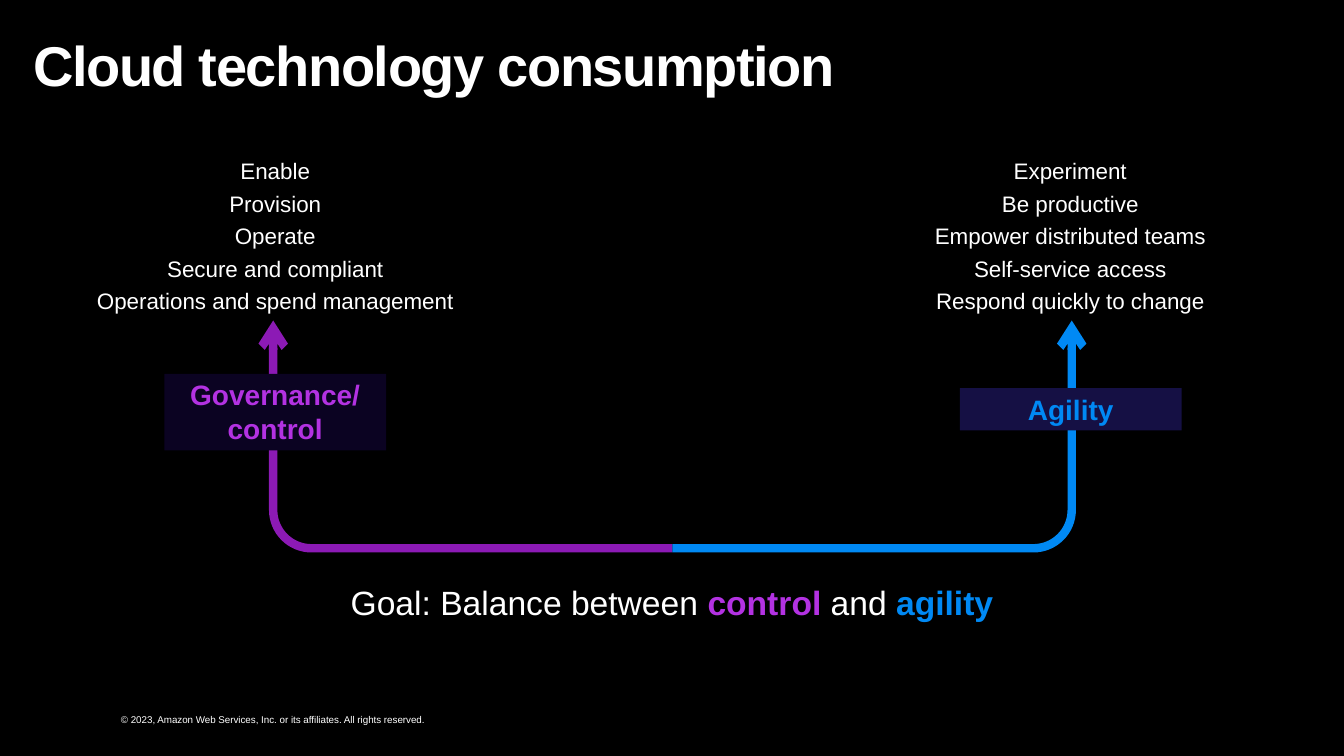
"""Build the cloud technology consumption slide."""
from dataclasses import dataclass
from math import cos, pi, sin
from typing import NamedTuple

from lxml import etree
from pptx import Presentation
from pptx.dml.color import RGBColor
from pptx.enum.shapes import MSO_SHAPE
from pptx.enum.text import MSO_ANCHOR, MSO_AUTO_SIZE, PP_ALIGN
from pptx.oxml.ns import qn
from pptx.slide import Slide
from pptx.text.text import TextFrame
from pptx.util import Inches, Pt

LEFT, CENTER = PP_ALIGN.LEFT, PP_ALIGN.CENTER
TOP, MIDDLE = MSO_ANCHOR.TOP, MSO_ANCHOR.MIDDLE
NO_AUTOFIT = MSO_AUTO_SIZE.NONE
RECTANGLE = MSO_SHAPE.RECTANGLE
TWO_CONTENT = 3


@dataclass(frozen=True)
class Theme:
    font: str = "Arial"
    background: str = "000000"
    text: str = "FFFFFF"
    control: str = "B332E2"
    control_line: str = "8C1AB5"
    control_fill: str = "0B0322"
    agility: str = "0089F4"
    agility_fill: str = "151044"
    title_size: float = 40
    goal_size: float = 24
    label_size: float = 20
    list_size: float = 16
    footer_size: float = 7
    line_width: float = 6


THEME = Theme()


class Box(NamedTuple):
    left: float
    top: float
    width: float
    height: float


class Span(NamedTuple):
    text: str
    color: str = THEME.text
    bold: bool = False


class Side(NamedTuple):
    direction: int
    line: str
    label: list[Span]
    label_fill: str
    label_box: Box
    items: list[str]
    list_box: Box


SIDES = [
    Side(-1, THEME.control_line,
         [Span("Governance/", THEME.control, True), Span("\n"),
          Span("control", THEME.control, True)],
         THEME.control_fill, Box(1.63, 3.71, 2.2, 0.76),
         ["Enable", "Provision", "Operate", "Secure and compliant",
          "Operations and spend management"],
         Box(0.75, 1.46, 3.96, 1.82)),
    Side(1, THEME.agility, [Span("Agility", THEME.agility, True)],
         THEME.agility_fill, Box(9.52, 3.85, 2.2, 0.42),
         ["Experiment", "Be productive", "Empower distributed teams",
          "Self-service access", "Respond quickly to change"],
         Box(9.04, 1.46, 3.15, 1.82)),
]


def rgb(value: str) -> RGBColor:
    return RGBColor.from_string(value)


def apply(target: object, formats: dict) -> None:
    for name, value in formats.items():
        setattr(target, name, value)


def place(shape: object, box: Box) -> None:
    apply(shape, {name: Inches(value) for name, value in box._asdict().items()})


def write(tf: TextFrame, paragraphs: list[list[Span]], size: float,
          inset: tuple[float, float], align: PP_ALIGN = CENTER,
          anchor: MSO_ANCHOR = TOP, spacing: float = 1, after: float = 0) -> None:
    x, y = map(Inches, inset)
    apply(tf, {"word_wrap": True, "auto_size": NO_AUTOFIT, "vertical_anchor": anchor,
               "margin_left": x, "margin_right": x, "margin_top": y, "margin_bottom": y})
    for index, spans in enumerate(paragraphs):
        p = tf.add_paragraph() if index else tf.paragraphs[0]
        apply(p, {"alignment": align, "line_spacing": spacing,
                  "space_before": Pt(0), "space_after": Pt(after)})
        for span in spans:
            if span.text == "\n":
                p.add_line_break()
                continue
            r = p.add_run()
            r.text = span.text
            apply(r.font, {"name": THEME.font, "size": Pt(size), "bold": span.bold})
            r.font.color.rgb = rgb(span.color)


def add_title(s: Slide, text: str) -> None:
    title = s.shapes.title
    place(title, Box(0.33, 0.33, 12.67, 0.7))
    tf = title.text_frame
    write(tf, [[Span(text, bold=True)]], THEME.title_size, (0, 0.05), LEFT, spacing=0.9)
    tf.paragraphs[0].runs[0].font._element.set("spc", "-100")


def add_list(s: Slide, side: Side, index: int) -> None:
    body = s.placeholders[index]
    place(body, side.list_box)
    tf = body.text_frame
    write(tf, [[Span(item)] for item in side.items], THEME.list_size,
          (0.17, 0.13), spacing=0.9, after=6)
    for p in tf.paragraphs:
        props = p._p.get_or_add_pPr()
        props.set("marL", "0")
        props.set("indent", "0")
        etree.SubElement(props, qn("a:buNone"))


def add_arrow(s: Slide, side: Side) -> None:
    middle, bottom, tip, reach, radius, steps = 6.67, 5.44, 3.18, 3.96, 0.38, 16
    end = middle + side.direction * reach
    angles = [pi / 2 * step / steps for step in range(steps + 1)]
    points = [(end - side.direction * radius * (1 - sin(a)),
               bottom - radius * (1 - cos(a))) for a in angles] + [(end, tip)]
    builder = s.shapes.build_freeform(Inches(middle), Inches(bottom))
    builder.add_line_segments([(Inches(x), Inches(y)) for x, y in points], close=False)
    arrow = builder.convert_to_shape()
    arrow.shadow.inherit = False
    arrow.fill.background()
    arrow.line.color.rgb = rgb(side.line)
    arrow.line.width = Pt(THEME.line_width)
    ln = arrow._element.spPr.find(qn("a:ln"))
    etree.SubElement(ln, qn("a:round"))
    etree.SubElement(ln, qn("a:tailEnd"), type="arrow")


def add_label(s: Slide, side: Side) -> None:
    label = s.shapes.add_shape(RECTANGLE, *map(Inches, side.label_box))
    label.shadow.inherit = False
    label.fill.solid()
    label.fill.fore_color.rgb = rgb(side.label_fill)
    label.line.fill.background()
    write(label.text_frame, [side.label], THEME.label_size, (0.08, 0.04))


def add_text(s: Slide, box: Box, spans: list[Span], size: float, **formats) -> None:
    tf = s.shapes.add_textbox(*map(Inches, box)).text_frame
    write(tf, [spans], size, **formats)


def main() -> None:
    prs = Presentation()
    apply(prs, {"slide_width": Inches(13.33), "slide_height": Inches(7.5)})
    s = prs.slides.add_slide(prs.slide_layouts[TWO_CONTENT])
    s.background.fill.solid()
    s.background.fill.fore_color.rgb = rgb(THEME.background)

    add_title(s, "Cloud technology consumption")
    for index, side in enumerate(SIDES, start=1):
        add_list(s, side, index)
        add_arrow(s, side)
        add_label(s, side)
    goal = [Span("Goal: Balance between "), Span("control", THEME.control, True),
            Span(" and "), Span("agility", THEME.agility, True)]
    add_text(s, Box(3.2, 5.68, 6.93, 0.63), goal, THEME.goal_size,
             inset=(0.17, 0.13), anchor=MIDDLE, spacing=0.9)
    notice = "© 2023, Amazon Web Services, Inc. or its affiliates. All rights reserved."
    add_text(s, Box(1.2, 7.08, 4.33, 0.12), [Span(notice)], THEME.footer_size,
             inset=(0, 0), align=LEFT)
    prs.save("out.pptx")


if __name__ == "__main__":
    main()
